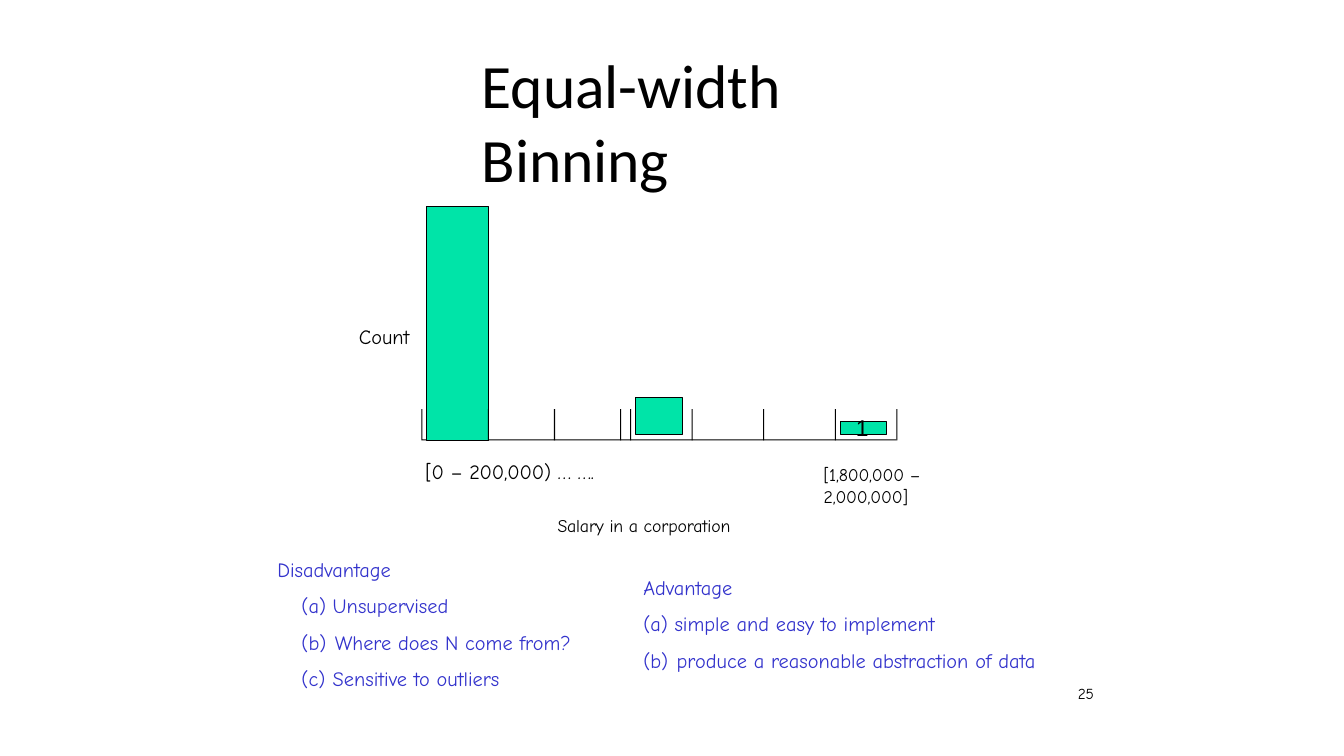
from lxml import etree
from pptx import Presentation
from pptx.dml.color import RGBColor
from pptx.enum.shapes import MSO_SHAPE as Shape
from pptx.enum.text import MSO_ANCHOR as Anchor
from pptx.oxml.ns import qn
from pptx.util import Inches, Pt

COLORS = {"ink": "000000", "bar": "00E4A8", "notes": "3333CC"}
BODY_FONT = "Comic Neue"

# Axis of the histogram, in grid cells
AXIS_LEFT, AXIS_RIGHT = 41.8, 88.9
TICK_TOP, BASELINE = 40.6, 43.7
LEFT_BIN, RIGHT_BIN = 6.55, 7.1
STROKE = 0.1


def grid(cells):
    """Convert columns or rows of the 0.1 inch grid to a length."""
    return Inches(cells / 10)


def color(name):
    return RGBColor.from_string(COLORS[name])


def indent_line(paragraph, left, hang=0):
    properties = paragraph._p.get_or_add_pPr()
    properties.set("marL", str(grid(left)))
    properties.set("indent", str(-grid(hang)))
    return properties


def number_item(paragraph, indent, hang):
    """Give a paragraph automatic (a), (b), (c) numbering."""
    properties = indent_line(paragraph, indent, hang)
    numbering = etree.SubElement(properties, qn("a:buAutoNum"))
    numbering.set("type", "alphaLcParenBoth")


def add_text(slide, text, left, top, width, height, size=14.5, font=BODY_FONT,
             ink="ink", anchor=Anchor.TOP, inset=0.15, before=0.9, tracking=-0.1,
             items=(), item_indent=0):
    """Place lines of text, followed by any lettered items."""
    box = slide.shapes.add_textbox(*map(grid, (left, top, width, height)))
    frame = box.text_frame
    frame.word_wrap = True
    frame.vertical_anchor = anchor
    frame.margin_left = frame.margin_right = frame.margin_bottom = 0
    frame.margin_top = grid(inset)
    lines = text.split("\n")
    for index, line in enumerate([*lines, *items]):
        paragraph = frame.add_paragraph() if index else frame.paragraphs[0]
        if index == 0:
            paragraph.space_before = Pt(before)
        if index < len(lines):
            indent_line(paragraph, 0.1)
        else:
            paragraph.space_before = Pt(8.7)
            extra = 0.2 if index == len(lines) + 1 else 0  # (b) is wider
            number_item(paragraph, item_indent + extra, 3.1 + extra)
        run = paragraph.add_run()
        run.text = line
        run.font.size = Pt(size)
        run.font.name = font
        run.font.color.rgb = color(ink)
        run._r.get_or_add_rPr().set("spc", str(round(tracking * 100)))


def add_bar(slide, left, top, width, bottom):
    bar = slide.shapes.add_shape(
        Shape.RECTANGLE, *map(grid, (left, top, width, bottom - top)))
    bar.shadow.inherit = False
    bar.fill.solid()
    bar.fill.fore_color.rgb = color("bar")
    bar.line.color.rgb = color("ink")
    bar.line.width = Pt(0.5)


def add_outline(slide, *contours):
    """Draw closed contours as one solid shape."""
    contours = [[(grid(x), grid(y)) for x, y in contour] for contour in contours]
    builder = slide.shapes.build_freeform(*contours[0][0])
    for index, (start, *rest) in enumerate(contours):
        if index:
            builder.move_to(*start)
        builder.add_line_segments(rest, close=True)
    outline = builder.convert_to_shape()
    outline.shadow.inherit = False
    outline.fill.solid()
    outline.fill.fore_color.rgb = color("ink")
    outline.line.fill.background()


def tick_contour(left):
    right = left + STROKE
    return [(right, TICK_TOP), (left, TICK_TOP), (left, BASELINE), (right, BASELINE)]


def add_axis(slide):
    inner_left, inner_base = AXIS_LEFT + STROKE, BASELINE - STROKE
    add_outline(slide, [
        (AXIS_RIGHT, inner_base), (inner_left, inner_base), (inner_left, TICK_TOP),
        (AXIS_LEFT, TICK_TOP), (AXIS_LEFT, BASELINE), (AXIS_RIGHT, BASELINE)])


def add_ticks(slide):
    left_ticks = [48.4 + LEFT_BIN * i for i in range(3)]
    right_ticks = [68.6 + RIGHT_BIN * i for i in range(3)]
    ticks = [*left_ticks, 62.5, *right_ticks, AXIS_RIGHT]
    add_outline(slide, *map(tick_contour, ticks))


def add_histogram(slide):
    add_axis(slide)
    add_bar(slide, 42.33, 20.45, 6.1, 43.65)
    add_bar(slide, 83.33, 41.83, 4.55, 43.05)
    add_text(slide, "[0 – 200,000) … ….", 42.1, 45.4, 18, 2.6)
    add_text(slide, "1", 84.8, 40.9, 1.6, 2.9, size=16.3, font="Arial",
             tracking=0.6)
    add_text(slide, "Count", 35.5, 32, 5.6, 2.6, tracking=0)
    add_ticks(slide)
    add_bar(slide, 63.05, 39.43, 4.6, 43.05)
    add_text(slide, "Salary in a corporation", 55.2, 50.9, 18.9, 2.3, size=12.7)
    add_text(slide, "[1,800,000 –\n2,000,000]", 81.6, 45.9, 10.4, 4.4, size=12.7)


def main():
    deck = Presentation()
    deck.slide_width, deck.slide_height = Inches(13.33), Inches(7.5)
    slide = deck.slides.add_slide(deck.slide_layouts[6])
    add_text(slide, "25", 106.8, 67.7, 2.1, 2, size=10.9)
    add_text(slide, "Equal-width Binning", 47.7, 4.45, 38.3, 14.9, size=44,
             font="Calibri", anchor=Anchor.MIDDLE)
    notes = {"ink": "notes", "inset": 1.35, "before": 9.6, "tracking": 0}
    add_text(slide, "Disadvantage", 27.4, 53.9, 31.1, 14.9, item_indent=5.6,
             items=["Unsupervised", "Where does N come from?",
                    "Sensitive to outliers"], **notes)
    add_text(slide, "Advantage", 63.7, 55.7, 42.2, 11.2, item_indent=3.2,
             items=["simple and easy to implement",
                    "produce a reasonable abstraction of data"], **notes)
    add_histogram(slide)
    deck.save("out.pptx")


if __name__ == "__main__":
    main()
